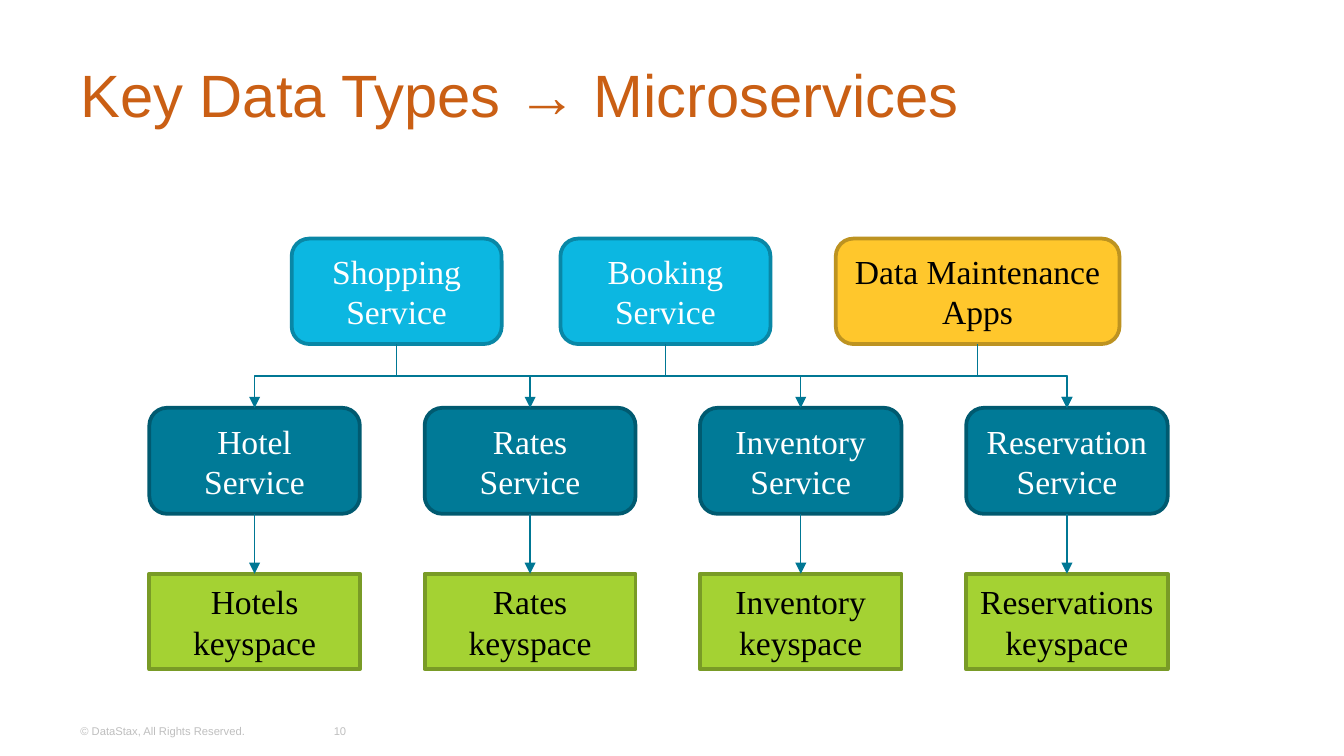
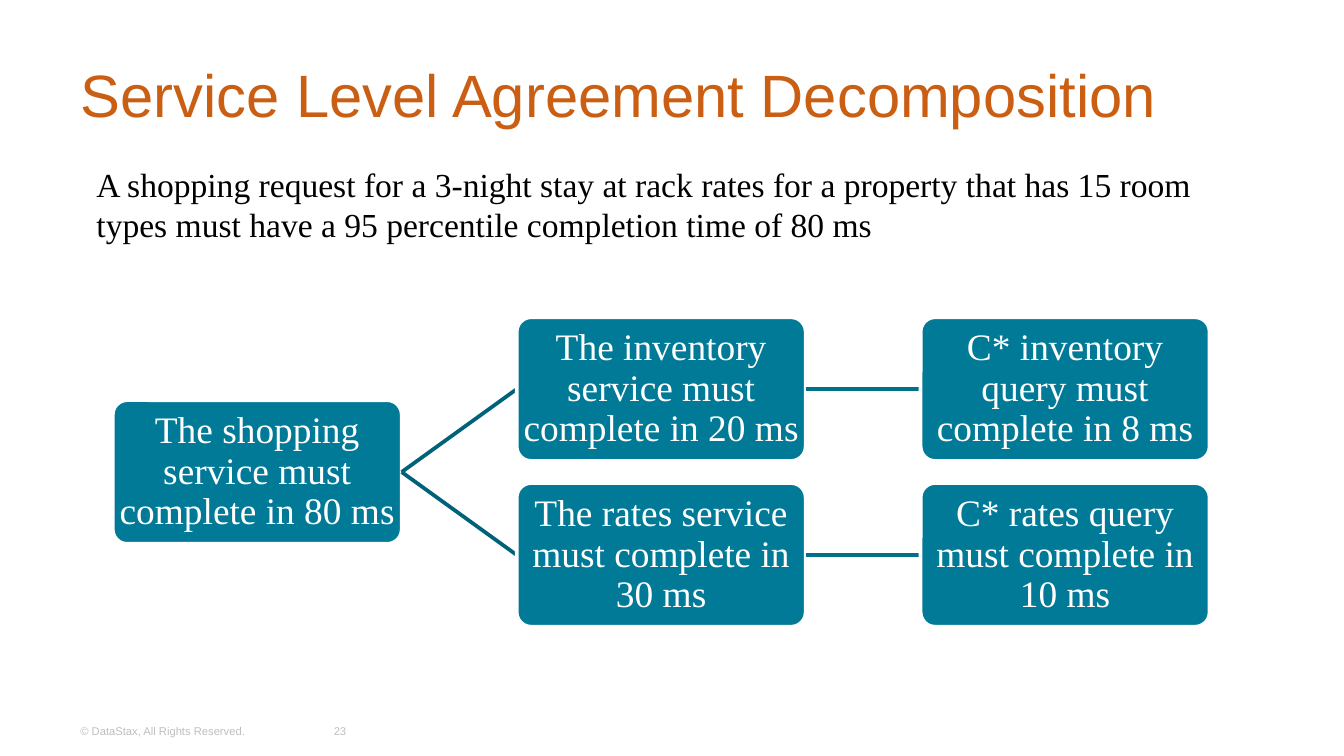
from dataclasses import dataclass

from lxml import etree
from pptx import Presentation
from pptx.dml.color import RGBColor
from pptx.enum.shapes import MSO_CONNECTOR, MSO_SHAPE
from pptx.enum.text import MSO_ANCHOR, PP_ALIGN
from pptx.oxml.ns import qn
from pptx.util import Pt

ROUNDED, RECTANGLE = MSO_SHAPE.ROUNDED_RECTANGLE, MSO_SHAPE.RECTANGLE
STRAIGHT, ELBOW = MSO_CONNECTOR.STRAIGHT, MSO_CONNECTOR.ELBOW
LEFT, CENTER = PP_ALIGN.LEFT, PP_ALIGN.CENTER
TOP_ANCHOR, MIDDLE = MSO_ANCHOR.TOP, MSO_ANCHOR.MIDDLE
TOP_SIDE, LEFT_SIDE, BOTTOM_SIDE, RIGHT_SIDE = range(4)
QUARTER_TURN = 5400000

SANS, SERIF = "Arial", "Times New Roman"
WHITE, BLACK, GREY, ORANGE = "FFFFFF", "000000", "BFBFBF", "CA5F14"
TEAL, ARROW_TEAL = "007A97", "007794"


@dataclass(frozen=True)
class TextStyle:
    size: float
    font: str
    color: str
    align: int = CENTER
    anchor: int = MIDDLE
    spacing: float = 1.0


@dataclass(frozen=True)
class BoxStyle:
    shape: int
    fill: str
    line: str
    text: TextStyle
    corner: float | None = None
    inset: float | None = None


@dataclass(frozen=True)
class Node:
    text: str
    left: float
    top: float
    width: float
    height: float
    style: BoxStyle


# Shared text and box styles
TITLE = TextStyle(32, SANS, ORANGE, LEFT)
COPYRIGHT = TextStyle(6, SANS, GREY, LEFT)
PAGE_NUMBER = TextStyle(6, SANS, GREY)
BODY = TextStyle(18, SERIF, BLACK, LEFT, TOP_ANCHOR)
LIGHT_LABEL = TextStyle(18, SERIF, WHITE)
DARK_LABEL = TextStyle(18, SERIF, BLACK)
STEP_LABEL = TextStyle(20, SERIF, WHITE, spacing=0.9)

CLIENT = BoxStyle(ROUNDED, "0CB7E1", "0987A6", LIGHT_LABEL)
MAINTENANCE = BoxStyle(ROUNDED, "FFC72C", "BD9321", DARK_LABEL)
SERVICE = BoxStyle(ROUNDED, TEAL, "005A70", LIGHT_LABEL)
KEYSPACE = BoxStyle(RECTANGLE, "A4D233", "799B26", DARK_LABEL)
STEP = BoxStyle(ROUNDED, TEAL, WHITE, STEP_LABEL, corner=0.1, inset=0.5)


def rgb(value: str) -> RGBColor:
    return RGBColor.from_string(value)


def set_values(target, values: dict) -> None:
    for name, value in values.items():
        setattr(target, name, value)


def write_text(frame, text: str, style: TextStyle) -> None:
    set_values(frame, {"word_wrap": True, "vertical_anchor": style.anchor})
    para = frame.paragraphs[0]
    set_values(para, {"alignment": style.align, "line_spacing": style.spacing})
    span = para.add_run()
    span.text = text
    set_values(span.font, {"size": Pt(style.size), "name": style.font})
    span.font.color.rgb = rgb(style.color)


def add_text(page, text: str, left: float, top: float, width: float,
             height: float, style: TextStyle) -> None:
    box = page.shapes.add_textbox(Pt(left), Pt(top), Pt(width), Pt(height))
    write_text(box.text_frame, text, style)


def add_node(page, node: Node):
    style = node.style
    box = page.shapes.add_shape(style.shape, Pt(node.left), Pt(node.top),
                                Pt(node.width), Pt(node.height))
    box.shadow.inherit = False
    box.fill.solid()
    box.fill.fore_color.rgb = rgb(style.fill)
    box.line.color.rgb = rgb(style.line)
    box.line.width = Pt(2)
    if style.corner is not None:
        box.adjustments[0] = style.corner
    if style.inset is not None:
        sides = ("left", "top", "right", "bottom")
        set_values(box.text_frame, {f"margin_{side}": Pt(style.inset) for side in sides})
    write_text(box.text_frame, node.text, style.text)
    return box


def style_connector(link, color: str, width: float, arrow: bool = False) -> None:
    link.line.color.rgb = rgb(color)
    link.line.width = Pt(width)
    if arrow:
        etree.SubElement(link.line._get_or_add_ln(), qn("a:tailEnd"), type="triangle")
    etree.SubElement(link._element.spPr, qn("a:effectLst"))


def join(page, start, start_side: int, end, end_side: int, color: str,
         width: float, arrow: bool = False):
    link = page.shapes.add_connector(STRAIGHT, 0, 0, 0, 0)
    link.begin_connect(start, start_side)
    link.end_connect(end, end_side)
    style_connector(link, color, width, arrow)
    return link


def add_down_elbow(page, upper, lower) -> None:
    """Draw an elbow arrow from the bottom of one box to the top of another."""
    start_x, end_x = (box.left + box.width // 2 for box in (upper, lower))
    start_y, end_y = upper.top + upper.height, lower.top
    middle_x, middle_y = (start_x + end_x) // 2, (start_y + end_y) // 2
    half_drop, half_run = (end_y - start_y) // 2, abs(end_x - start_x) // 2
    # The elbow is laid out sideways and then turned to run downwards
    direction = 1 if end_x > start_x else -1
    link = page.shapes.add_connector(
        ELBOW, middle_x + direction * half_drop, middle_y - half_run,
        middle_x - direction * half_drop, middle_y + half_run)
    turns = 3 if direction > 0 else 1
    link._element.spPr.find(qn("a:xfrm")).set("rot", str(turns * QUARTER_TURN))
    style_connector(link, ARROW_TEAL, 0.75, arrow=True)


def add_page(deck, title: str, number: int):
    page = deck.slides.add_slide(deck.slide_layouts[6])
    add_text(page, title, 36, 16.5, 648, 67.7, TITLE)
    add_text(page, "© DataStax, All Rights Reserved.", 36, 381, 125.3, 21.6, COPYRIGHT)
    add_text(page, str(number), 166.3, 381, 31.7, 21.6, PAGE_NUMBER)
    return page


def build_microservices(deck) -> None:
    page = add_page(deck, "Key Data Types → Microservices", 10)

    # Client applications
    clients = [
        ("Shopping Service", 156.25, 112.5, CLIENT),
        ("Booking Service", 300.25, 112.5, CLIENT),
        ("Data Maintenance Apps", 447.75, 152, MAINTENANCE),
    ]
    shopping, booking, maintenance = [
        add_node(page, Node(text, left, 127.8, width, 56.5, style))
        for text, left, width, style in clients]

    # One column for each service and its keyspace
    columns = [
        ("Hotel", "Hotels", 80, 112.8),
        ("Rates", "Rates", 227.5, 113),
        ("Inventory", "Inventory", 375, 108),
        ("Reservation", "Reservations", 517.6, 108),
    ]
    services = []
    for service_name, keyspace_name, left, width in columns:
        service = add_node(page, Node(f"{service_name} Service", left, 218.5, width, 56.8, SERVICE))
        keyspace = add_node(page, Node(f"{keyspace_name} keyspace", left, 307.4, width, 51.2, KEYSPACE))
        join(page, service, BOTTOM_SIDE, keyspace, TOP_SIDE, ARROW_TEAL, 0.75, arrow=True)
        services.append(service)

    # Calls from the clients to the services
    hotel, rates, inventory, reservation = services
    for client, service in [(shopping, reservation), (booking, hotel), (booking, rates),
                            (booking, inventory), (maintenance, reservation)]:
        add_down_elbow(page, client, service)


def build_agreement(deck) -> None:
    page = add_page(deck, "Service Level Agreement Decomposition", 23)
    add_text(page, "A shopping request for a 3-night stay at rack rates for a property "
             "that has 15 room types must have a 95 percentile completion time of 80 ms",
             44.6, 84.2, 630.8, 72.7, BODY)

    # Decomposition tree
    def add_step(text: str, level: int, top: float):
        return add_node(page, Node(text, 60.4 + 216.4 * level, top, 154.8, 77, STEP))

    def link_steps(parent, child, color: str) -> None:
        link = join(page, parent, RIGHT_SIDE, child, LEFT_SIDE, color, 2)
        child._element.addprevious(link._element)

    upper, lower = 170, 258.8
    root = add_step("The shopping service must complete in 80 ms", 0, (upper + lower) / 2)
    branches = [
        ("The inventory service must complete in 20 ms",
         "C* inventory query must complete in 8 ms", upper),
        ("The rates service must complete in 30 ms",
         "C* rates query must complete in 10 ms", lower),
    ]
    for service_text, query_text, top in branches:
        service = add_step(service_text, 1, top)
        query = add_step(query_text, 2, top)
        link_steps(root, service, "006279")
        link_steps(service, query, "006F89")


def main() -> None:
    deck = Presentation()
    set_values(deck, {"slide_width": Pt(720), "slide_height": Pt(405)})
    build_microservices(deck)
    build_agreement(deck)
    deck.save("out.pptx")


if __name__ == "__main__":
    main()
